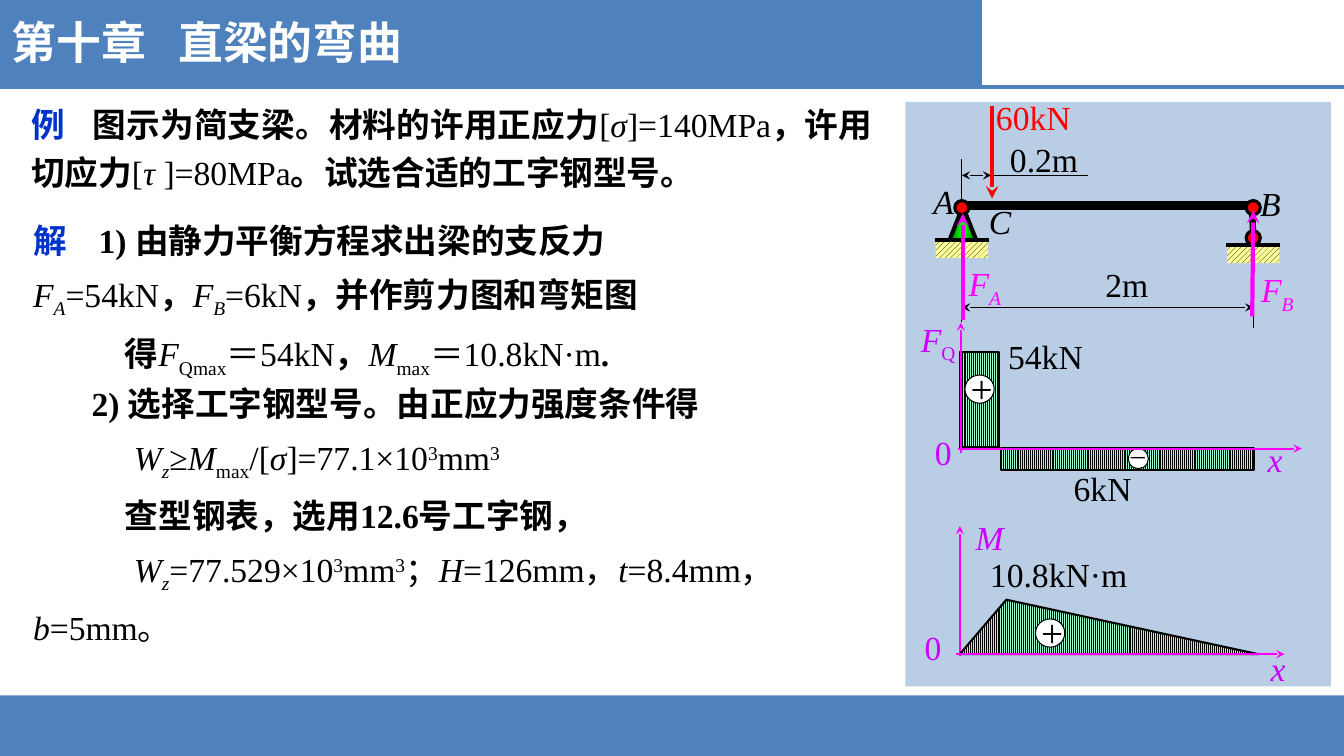
import copy

import pptx
import pptx.dml.color
import pptx.enum.dml
import pptx.enum.shapes
import pptx.enum.text
import pptx.oxml
import pptx.oxml.ns
import pptx.util

Inches = pptx.util.Inches
SHAPES = pptx.enum.shapes.MSO_SHAPE
PATTERNS = pptx.enum.dml.MSO_PATTERN
ALIGN = pptx.enum.text.PP_ALIGN
qn = pptx.oxml.ns.qn
CJK = "Noto Sans CJK SC"
SERIF = "Times New Roman"
BLUE, BLACK, WHITE, RED = "4F81BD", "000000", "FFFFFF", "FF0000"
MAGENTA, VIOLET, KEY = "FF00FF", "CC00FF", "0033CC"
HATCH = (PATTERNS.WIDE_UPWARD_DIAGONAL, BLACK, "FFFF99")
STRIPES = (PATTERNS.LIGHT_VERTICAL, BLACK, "99FFCC")


def rgb(value):
    return pptx.dml.color.RGBColor.from_string(value)


def child(parent, tag, **attributes):
    element = pptx.oxml.parse_xml(f"<a:{tag} {pptx.oxml.ns.nsdecls('a')}/>")
    for name, value in attributes.items():
        element.set(name, str(value))
    parent.append(element)
    return element


def add_shape(page, box, kind, x, y, width, height, fill, line=None, line_color=BLACK):
    shape = page.shapes.add_shape(kind, Inches(box[0] + x), Inches(box[1] + y), Inches(width), Inches(height))
    shape.shadow.inherit = False
    if isinstance(fill, tuple):
        shape.fill.patterned()
        shape.fill.pattern = fill[0]
        shape.fill.fore_color.rgb, shape.fill.back_color.rgb = rgb(fill[1]), rgb(fill[2])
    else:
        shape.fill.solid()
        shape.fill.fore_color.rgb = rgb(fill)
    if line:
        shape.line.width = pptx.util.Pt(line)
        shape.line.color.rgb = rgb(line_color)
    else:
        shape.line.fill.background()
    return shape


def add_line(page, box, start, end, color=BLACK, width=0.75, head=False, tail=False):
    connector = page.shapes.add_connector(
        pptx.enum.shapes.MSO_CONNECTOR.STRAIGHT,
        Inches(box[0] + start[0]), Inches(box[1] + start[1]),
        Inches(box[0] + end[0]), Inches(box[1] + end[1]))
    connector.line.width = pptx.util.Pt(width)
    connector.line.color.rgb = rgb(color)
    outline = connector.line._get_or_add_ln()
    for wanted, tag in ((head, "headEnd"), (tail, "tailEnd")):
        if wanted:
            child(outline, tag, type="stealth")
    child(connector._element.spPr, "effectLst")


def add_text(page, box, paragraphs, x=0, y=0, width=None, height=None, size=24, color=BLACK,
             font=SERIF, align=ALIGN.LEFT, spacing=None, tab=None, wrap=True, grow=False):
    """Each paragraph is (first-line indent, spans); a span is (text, style).
    Styles: b bold, i italic, k key colour, _ subscript, ^ superscript."""
    holder = page.shapes.add_textbox(Inches(box[0] + x), Inches(box[1] + y),
                                     Inches(width or box[2]), Inches(height or box[3]))
    frame = holder.text_frame
    frame.word_wrap = wrap
    if grow:
        frame.auto_size = pptx.enum.text.MSO_AUTO_SIZE.SHAPE_TO_FIT_TEXT
    for number, (indent, spans) in enumerate(paragraphs):
        para = frame.add_paragraph() if number else frame.paragraphs[0]
        para.alignment = align
        if spacing:
            para.line_spacing = spacing
        properties = para._p.get_or_add_pPr()
        if indent:
            properties.set("marL", "0")
            properties.set("indent", str(Inches(indent)))
        if tab and any("\t" in text for text, _ in spans):
            child(child(properties, "tabLst"), "tab", pos=Inches(tab), algn="l")
        for text, style in spans:
            span = para.add_run()
            span.text = text
            span.font.size = pptx.util.Pt(size)
            span.font.name = font
            span.font.bold, span.font.italic = "b" in style, "i" in style
            span.font.color.rgb = rgb(KEY if "k" in style else color)
            details = span._r.get_or_add_rPr()
            child(details, "ea", typeface=CJK)
            if "_" in style or "^" in style:
                details.set("baseline", "-25000" if "_" in style else "30000")


def label(page, box, x, y, width, height, *spans, **formats):
    add_text(page, box, [(0, spans)], x, y, width, height, **formats)


def frame_bars(page, box):
    add_shape(page, box, SHAPES.RECTANGLE, 0, 6.9, box[2], 0.6, BLUE)
    add_shape(page, box, SHAPES.RECTANGLE, 0, 0, 9.74, 0.86, BLUE)
    add_line(page, box, (0, 0.86), (box[2], 0.86), BLUE, 3)
    label(page, box, 0.02, 0.1, 4.19, 0.64, ("第十章\t直梁的弯曲", "b"),
          size=32, color=WHITE, font=CJK, tab=1.65, wrap=False, grow=True)


def problem(page, box):
    add_text(page, box, [(0, [
        ("例\t", "bk"), ("图示为简支梁。材料的许用正应力", "b"), ("[", ""), ("σ", "i"), ("]=140MPa", ""),
        ("，许用切应力", "b"), ("[", ""), ("τ ", "i"), ("]=80MPa", ""), ("。试选合适的工字钢型号。", "b"),
    ])], align=ALIGN.JUSTIFY, spacing=1.2, tab=0.61, grow=True)


def reactions(page, box):
    add_text(page, box, [
        (0, [("解\t", "bk"), ("1) 由静力平衡方程求出梁的支反力", "b"), ("F", "i"), ("A", "i_"), ("=54kN", ""),
             ("，", "b"), ("F", "i"), ("B", "i_"), ("=6kN", ""), ("，并作剪力图和弯矩图", "b")]),
        (0.91, [("得", "b"), ("F", "i"), ("Qmax", "_"), ("＝54kN", ""), ("，", "b"),
                ("M", "i"), ("max", "_"), ("＝10.8kN·m", ""), (".", "b")]),
    ], spacing=1.3, tab=0.65, grow=True)


def section_choice(page, box):
    add_text(page, box, [
        (0.58, [("2) 选择工字钢型号。由正应力强度条件得", "b")]),
        (1, [("W", "i"), ("z", "i_"), ("≥", ""), ("M", "i"), ("max", "_"), ("/[", ""), ("σ", "i"),
             ("]=77.1×10", ""), ("3", "^"), ("mm", ""), ("3", "^")]),
        (0.91, [("查型钢表，选用12.6号工字钢，", "b")]),
        (1, [("W", "i"), ("z", "i_"), ("=77.529×10", ""), ("3", "^"), ("mm", ""), ("3", "^"), ("；", ""),
             ("H", "i"), ("=126mm，", ""), ("t", "i"), ("=8.4mm，", ""), ("b", "i"), ("=5mm。", "")]),
    ], spacing=1.3, grow=True)


def ground(page, box, center, top):
    add_shape(page, box, SHAPES.RECTANGLE, center - 0.26, top, 0.52, 0.18, HATCH)
    add_line(page, box, (center - 0.27, top), (center + 0.27, top), width=3)


def pin(page, box, x, y):
    add_shape(page, box, SHAPES.OVAL, x - 0.07, y - 0.07, 0.14, 0.14, RED, 2.25)


def plus_sign(page, box, x, y):
    add_shape(page, box, SHAPES.OVAL, x, y, 0.29, 0.28, WHITE, 0.75)
    label(page, box, x - 0.16, y - 0.15, 0.65, 0.57, ("+", ""), size=28, align=ALIGN.CENTER)


def axis_labels(page, box, *items):
    for text, style, x, y in items:
        label(page, box, x, y, 0.65, 0.49, (text, style), color=VIOLET, align=ALIGN.CENTER)


def loaded_beam(page, box):
    left_end, right_end = 0.56, 3.45
    # Dimensions
    add_line(page, box, (left_end, 0.57), (left_end, 2.18))
    add_line(page, box, (right_end, 1.6), (right_end, 2.24))
    add_line(page, box, (right_end, 2.04), (left_end, 2.04), width=0.5, head=True, tail=True)
    add_line(page, box, (1.81, 0.73), (0.84, 0.73), width=0.5)
    add_line(page, box, (0.85, 0.73), (left_end, 0.73), width=0.5, head=True, tail=True)
    label(page, box, 1.87, 1.56, 0.65, 0.49, ("2m", ""), align=ALIGN.CENTER)
    label(page, box, 0.9, 0.32, 0.95, 0.49, ("0.2m", ""), align=ALIGN.CENTER)
    # Beam, load and supports
    add_line(page, box, (0.6, 1.03), (3.47, 1.03), width=6)
    add_line(page, box, (0.86, 0.04), (0.86, 0.96), RED, 3, tail=True)
    stand = add_shape(page, box, SHAPES.ISOSCELES_TRIANGLE, 0.43, 1.04, 0.28, 0.35, WHITE, 3)
    stand.fill.gradient()
    stand.fill.gradient_angle = 0
    first, last = stand.fill.gradient_stops
    first.color.rgb, last.color.rgb = rgb("00FF00"), rgb("007600")
    stops = stand._element.spPr.find(".//" + qn("a:gsLst"))
    stops.insert(0, copy.deepcopy(stops[1]))
    for stop, position in zip(stops, (0, 50000, 100000)):
        stop.set("pos", str(position))
    ground(page, box, left_end, 1.37)
    pin(page, box, left_end, 1.05)
    add_line(page, box, (right_end, 1.35), (3.44, 1.09), width=4.5)
    ground(page, box, right_end, 1.42)
    pin(page, box, right_end, 1.05)
    pin(page, box, right_end, 1.35)
    # Letters and reactions
    label(page, box, 0.18, 0.74, 0.61, 0.52, ("A", "i"))
    label(page, box, 3.42, 0.76, 0.51, 0.66, ("B", "i"))
    label(page, box, 0.73, 0.93, 0.39, 0.38, ("C", "i"))
    label(page, box, 0.8, -0.1, 1.02, 0.59, ("60kN", ""), color=RED)
    label(page, box, 3.43, 1.61, 0.73, 0.62, ("F", "i"), ("B", "i_"), color=MAGENTA)
    label(page, box, 0.53, 1.55, 0.64, 0.62, ("F", "i"), ("A", "i_"), color=MAGENTA)
    add_line(page, box, (0.57, 2.16), (0.57, 1.11), MAGENTA, 3, tail=True)
    add_line(page, box, (3.44, 2.13), (3.45, 1.08), MAGENTA, 3, tail=True)


def shear_diagram(page, box):
    base = 1.34
    add_shape(page, box, SHAPES.RECTANGLE, 0.95, base - 0.01, 2.51, 0.22, STRIPES, 1.5)
    add_shape(page, box, SHAPES.RECTANGLE, 0.54, 0.38, 0.39, 0.95, STRIPES, 1.5)
    add_shape(page, box, SHAPES.OVAL, 2.21, base, 0.2, 0.2, WHITE, 0.75)
    label(page, box, 2.11, 1.23, 0.48, 0.39, ("－", ""), size=14, spacing=1.15)
    plus_sign(page, box, 0.59, 0.61)
    add_line(page, box, (0.52, base), (3.93, base), MAGENTA, 1.5, tail=True)
    add_line(page, box, (0.55, 1.38), (0.55, 0.09), MAGENTA, 1.5, tail=True)
    label(page, box, 0, 0, 0.65, 0.49, ("F", "i"), ("Q", "_"), color=VIOLET, align=ALIGN.CENTER)
    axis_labels(page, box, ("0", "", 0.05, 1.13), ("x", "i", 3.34, 1.19))
    label(page, box, 0.92, 0.17, 0.95, 0.55, ("54kN", ""))
    label(page, box, 1.57, 1.48, 0.95, 0.55, ("6kN", ""))


def moment_diagram(page, box):
    base = 1.41
    add_line(page, box, (0.54, 1.43), (0.54, 0.14), MAGENTA, 1.5, tail=True)
    area = add_shape(page, box, SHAPES.ISOSCELES_TRIANGLE, 0.54, 0.87, 2.96, 0.54, STRIPES, 1.5)
    area.adjustments[0] = 0.156
    plus_sign(page, box, 1.29, 1.06)
    add_line(page, box, (0.5, base), (3.76, base), MAGENTA, 1.5, tail=True)
    axis_labels(page, box, ("M", "i", 0.51, 0), ("0", "", -0.05, 1.09), ("x", "i", 3.37, 1.3))
    label(page, box, 0.74, 0.37, 1.68, 0.5, ("10.8kN·m", ""), grow=True)


def diagram_panel(page, box):
    left, top, width, height = box
    add_shape(page, box, SHAPES.RECTANGLE, 0, 0, width, height, "B9CDE5")
    loaded_beam(page, (left, top, width, 2.1))
    shear_diagram(page, (left, top + 2.1, width, 1.97))
    moment_diagram(page, (left, top + 4.07, width, 1.73))


def main():
    deck = pptx.Presentation()
    deck.slide_width, deck.slide_height = Inches(13.33), Inches(7.5)
    page = deck.slides.add_slide(deck.slide_layouts[6])
    frame_bars(page, (0, 0, 13.33, 7.5))
    problem(page, (0.21, 0.9, 8.54, 1.07))
    reactions(page, (0.23, 2.01, 7.45, 1.68))
    diagram_panel(page, (8.98, 1.01, 4.22, 5.8))
    section_choice(page, (0.23, 3.63, 8.87, 2.2))
    deck.save("out.pptx")


if __name__ == "__main__":
    main()
